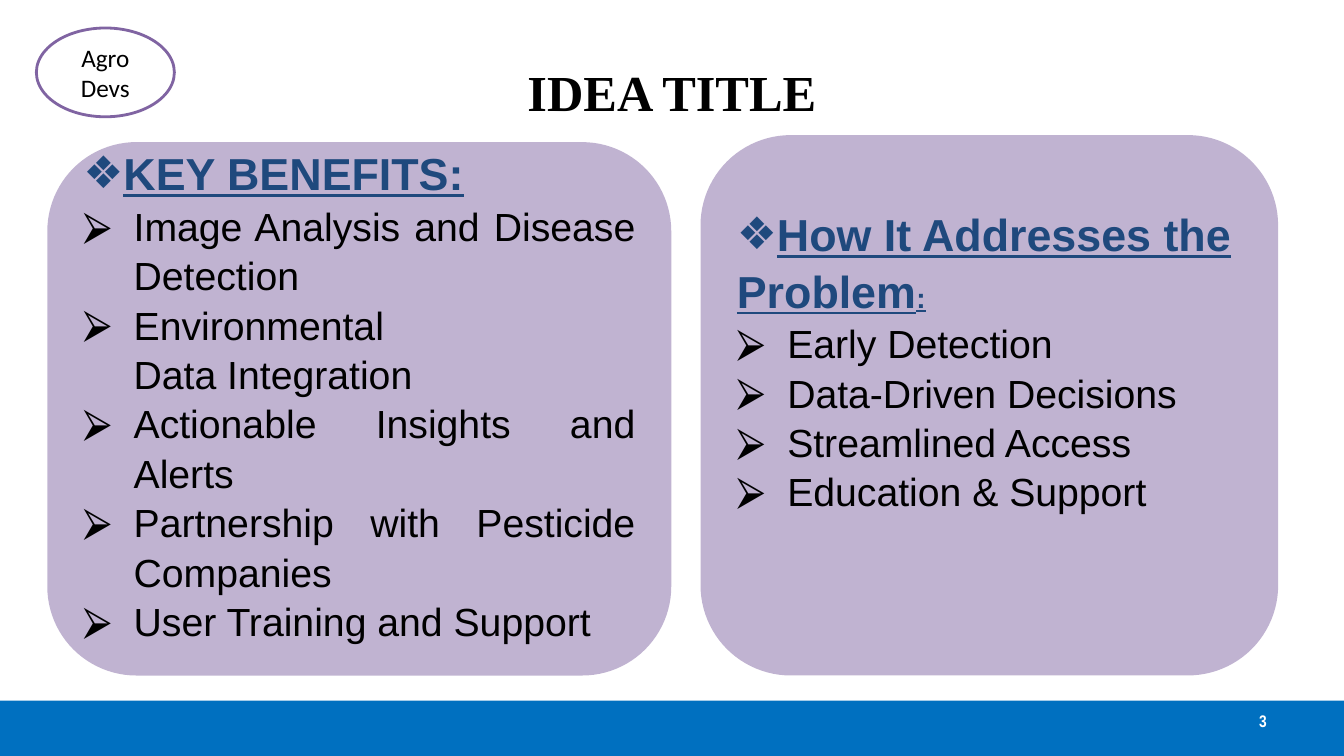
from dataclasses import dataclass

from lxml.etree import SubElement
from pptx import Presentation
from pptx.dml.color import RGBColor
from pptx.enum.shapes import MSO_SHAPE
from pptx.enum.text import MSO_ANCHOR, PP_ALIGN
from pptx.oxml.ns import qn
from pptx.util import Pt

BLUE = RGBColor(0x00, 0x70, 0xC0)
NAVY = RGBColor(0x1F, 0x49, 0x7D)
PURPLE = RGBColor(0x80, 0x64, 0xA2)
BLACK = RGBColor(0, 0, 0)
WHITE = RGBColor(0xFF, 0xFF, 0xFF)

LINE_SPACING = 1.05
HANGING = 36


@dataclass
class Box:
    left: float
    top: float
    width: float
    height: float

    def emu(self) -> tuple:
        return Pt(self.left), Pt(self.top), Pt(self.width), Pt(self.height)


@dataclass
class Item:
    text: str
    bulleted: bool = True


@dataclass
class Panel:
    box: Box
    heading: list[tuple[str, int]]  # text and size of each run
    items: list[Item]
    bottom_inset: float


PANELS = [
    Panel(Box(500.4, 96.5, 412.6, 386),
          [("How It Addresses the Problem", 32), (":", 20)],
          [Item("Early Detection"), Item("Data-Driven Decisions"),
           Item("Streamlined Access"), Item("Education & Support")], 69),
    Panel(Box(33.8, 101.5, 445.7, 381),
          [("KEY BENEFITS:", 32)],
          [Item("Image Analysis and Disease Detection"),
           Item("Environmental"), Item("Data Integration", False),
           Item("Actionable Insights and Alerts"),
           Item("Partnership with Pesticide Companies"),
           Item("User Training and Support")], 25),
]


def add_run(p, text: str, size: float, font: str, color: RGBColor,
            bold: bool = False, underline: bool = False) -> None:
    r = p.add_run()
    r.text = text
    f = r.font
    f.size, f.name, f.bold, f.underline = Pt(size), font, bold, underline
    f.color.rgb = color


def set_bullet(p, char: str, color: RGBColor) -> None:
    pr = p._p.get_or_add_pPr()
    clr = SubElement(pr, qn("a:buClr"))
    SubElement(clr, qn("a:srgbClr"), val=str(color))
    SubElement(pr, qn("a:buFont"), typeface="Arial")
    SubElement(pr, qn("a:buChar"), char=char)


def add_filled(s, kind: MSO_SHAPE, box: Box, color: RGBColor):
    sp = s.shapes.add_shape(kind, *box.emu())
    sp.shadow.inherit = False
    sp.fill.solid()
    sp.fill.fore_color.rgb = color
    sp.line.fill.background()
    return sp


def add_label(s, box: Box, text: str, size: float, font: str,
              color: RGBColor, align: PP_ALIGN) -> None:
    tf = s.shapes.add_textbox(*box.emu()).text_frame
    tf.word_wrap = True
    tf.vertical_anchor = MSO_ANCHOR.MIDDLE
    p = tf.paragraphs[0]
    p.alignment = align
    add_run(p, text, size, font, color, bold=True)


def add_panel(s, panel: Panel) -> None:
    sp = add_filled(s, MSO_SHAPE.ROUNDED_RECTANGLE, panel.box, PURPLE)
    sp.adjustments[0] = 0.167
    fill_color = sp.fill._xPr.find(".//" + qn("a:srgbClr"))
    SubElement(fill_color, qn("a:alpha"), val="49000")

    tf = sp.text_frame
    tf.word_wrap = True
    tf.vertical_anchor = MSO_ANCHOR.MIDDLE
    tf.margin_bottom = Pt(panel.bottom_inset)

    p = tf.paragraphs[0]
    p.alignment = PP_ALIGN.LEFT
    p.line_spacing = LINE_SPACING
    set_bullet(p, "❖", NAVY)
    for text, size in panel.heading:
        add_run(p, text, size, "Arial", NAVY, bold=True, underline=True)

    for item in panel.items:
        p = tf.add_paragraph()
        p.alignment = PP_ALIGN.JUSTIFY
        p.line_spacing = LINE_SPACING
        pr = p._p.get_or_add_pPr()
        pr.set("marL", str(Pt(HANGING)))
        pr.set("indent", str(-Pt(HANGING) if item.bulleted else 0))
        if item.bulleted:
            set_bullet(p, "⮚", BLACK)
        add_run(p, item.text, 28, "Arial", BLACK)


def add_team_badge(s) -> None:
    sp = add_filled(s, MSO_SHAPE.OVAL, Box(26, 20, 98.6, 63.4), WHITE)
    sp.line.color.rgb = PURPLE
    sp.line.width = Pt(2)
    tf = sp.text_frame
    tf.vertical_anchor = MSO_ANCHOR.MIDDLE
    for i, word in enumerate(("Agro", "Devs")):
        p = tf.add_paragraph() if i else tf.paragraphs[0]
        p.alignment = PP_ALIGN.CENTER
        add_run(p, word, 18, "Calibri", BLACK)


def main() -> None:
    prs = Presentation()
    prs.slide_width, prs.slide_height = Pt(960), Pt(540)
    s = prs.slides.add_slide(prs.slide_layouts[6])

    # Footer bar, title and slide number
    add_filled(s, MSO_SHAPE.RECTANGLE, Box(0, 500.4, 960, 39.6), BLUE)
    add_label(s, Box(48, 40, 864, 50), "IDEA TITLE", 36,
              "Times New Roman", BLACK, PP_ALIGN.CENTER)
    add_label(s, Box(688, 500.4, 224, 28.8), "3", 12,
              "Arial Narrow", WHITE, PP_ALIGN.RIGHT)

    # Team badge and the two panels
    add_team_badge(s)
    for panel in PANELS:
        add_panel(s, panel)

    prs.save("out.pptx")


if __name__ == "__main__":
    main()
